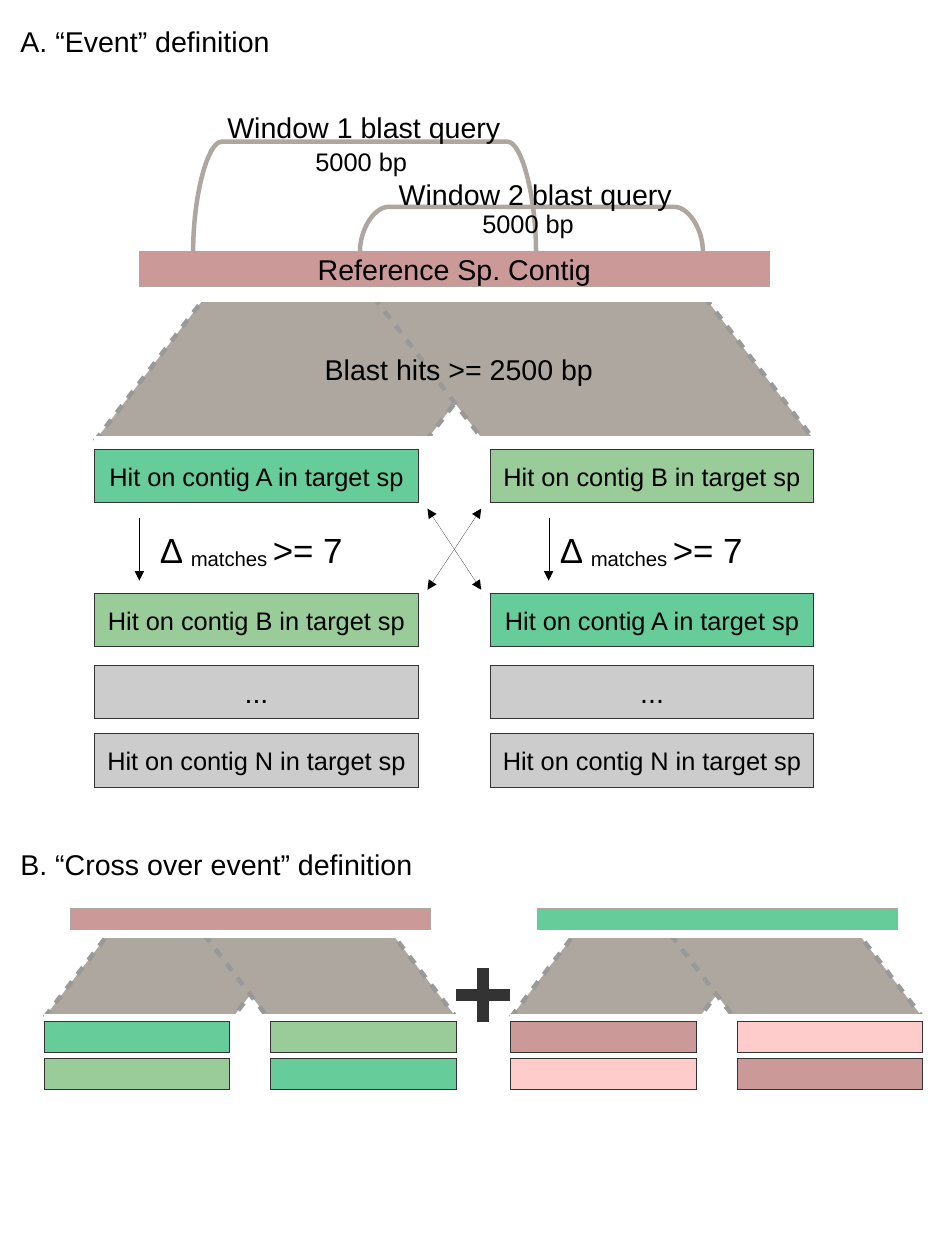
from pptx import Presentation
from pptx.dml.color import RGBColor
from pptx.enum.shapes import MSO_CONNECTOR as Link, MSO_SHAPE as Kind
from pptx.enum.text import MSO_ANCHOR as Anchor, PP_ALIGN as Align
from pptx.oxml.ns import qn
from pptx.util import Cm, Pt
from lxml.etree import SubElement

PX = 9144  # 100 px to the inch
HAIR = 0.01
BLACK = RGBColor(0x00, 0x00, 0x00)
WHITE = RGBColor(0xFF, 0xFF, 0xFF)
DARK = RGBColor(0x33, 0x33, 0x33)
DASH = RGBColor(0x99, 0x99, 0x99)
GRAY = RGBColor(0xCC, 0xCC, 0xCC)
TAUPE = RGBColor(0xAE, 0xA7, 0x9F)
ROSE = RGBColor(0xCC, 0x99, 0x99)
PINK = RGBColor(0xFF, 0xCC, 0xCC)
JADE = RGBColor(0x66, 0xCC, 0x99)
SAGE = RGBColor(0x99, 0xCC, 0x99)


def style(run, size):
    run.font.name = "Arial"
    run.font.size = Pt(size)
    run.font.color.rgb = BLACK


def block(shapes, kind, box, fill, edge, width=HAIR):
    shape = shapes.add_shape(kind, *(v * PX for v in box))
    shape.shadow.inherit = False
    shape.fill.solid()
    shape.fill.fore_color.rgb = fill
    shape.line.color.rgb = edge
    shape.line.width = Pt(width)
    return shape


def bar(shapes, box, fill, edge=DARK, text=None, size=16):
    shape = block(shapes, Kind.RECTANGLE, box, fill, edge)
    if text:
        frame = shape.text_frame
        frame.text = text
        frame.word_wrap = False
        frame.vertical_anchor = Anchor.MIDDLE
        frame.paragraphs[0].alignment = Align.CENTER
        style(frame.paragraphs[0].runs[0], size)


def label(shapes, box, text, size=18, align=Align.LEFT):
    frame = shapes.add_textbox(*(v * PX for v in box)).text_frame
    frame.word_wrap = True
    frame.text = text
    frame.paragraphs[0].alignment = align
    style(frame.paragraphs[0].runs[0], size)
    return frame.paragraphs[0]


def delta(shapes, x, y):
    """Threshold label whose middle word is a subscript."""
    para = label(shapes, (x, y, 197, 54), "Δ ", 22)
    for text, base in (("matches ", "-8000"), (">= 7", "0")):
        run = para.add_run()
        run.text = text
        style(run, 22)
        run.font._element.set("baseline", base)


def arrow(shapes, x1, y1, x2, y2, ends=("tailEnd",)):
    line = shapes.add_connector(Link.STRAIGHT, x1 * PX, y1 * PX, x2 * PX, y2 * PX)
    line.line.color.rgb = BLACK
    line.line.width = Pt(HAIR)
    for end in ends:
        SubElement(line.line._get_or_add_ln(), qn("a:" + end), type="triangle")
    SubElement(line._element.spPr, qn("a:effectLst"))


def arch(shapes, x, y, w, h, bend=25, steps=16):
    """Open bracket with rounded shoulders, standing on its feet."""
    curve = []
    for i in range(steps + 1):
        t = i / steps
        u = 1 - t
        curve.append((bend * (1.5 * u * t * t + t ** 3),
                      h * (u ** 3 + 1.5 * u * u * t)))
    points = [(x + dx, y + dy) for dx, dy in curve]
    points += [(x + w - dx, y + dy) for dx, dy in reversed(curve)]
    points = [(round(px * PX), round(py * PX)) for px, py in points]
    path = shapes.build_freeform(*points[0])
    path.add_line_segments(points[1:], close=False)
    shape = path.convert_to_shape()
    shape.shadow.inherit = False
    shape.fill.background()
    shape.line.color.rgb = TAUPE
    shape.line.width = Pt(2.83)


def funnel(shapes, x, y, w, h, step, edge, span):
    """Two mirrored dashed bands, trimmed by white strips above and below."""
    for i in range(2):
        band = block(shapes, Kind.PARALLELOGRAM, (x + i * step, y, w, h),
                     TAUPE, DASH, 2.83)
        band.adjustments[0] = 0.766
        dash = SubElement(band.line._get_or_add_ln(), qn("a:custDash"))
        SubElement(dash, qn("a:ds"), d="200000", sp="200000")
        if i:
            band._element.spPr.find(qn("a:xfrm")).set("flipV", "1")
    bar(shapes, (x, y + h - edge // 2, span, edge), WHITE, WHITE)
    bar(shapes, (x + edge, y - edge // 2, span, edge), WHITE, WHITE)


def event(shapes, x, y):
    """Panel A: query windows, blast hits and ranked target contigs."""
    label(shapes, (8, y, 291, 38), "A. “Event” definition")
    base = y + 204
    bar(shapes, (x + 39, base, 551, 31), ROSE, TAUPE, "Reference Sp. Contig", 18)
    windows = (("Window 1 blast query", 86, 96, 106, 75, 183, 107),
               ("Window 2 blast query", 232, 39, 256, 134, 329, 161))
    for text, left, rise, tx, ty, bx, by in windows:
        arch(shapes, x + left, base - rise, 300, rise)
        label(shapes, (x + tx, y + ty, 264, 38), text)
        label(shapes, (x + bx - 2, y + by, 104, 35), "5000 bp", 16, Align.CENTER)
    funnel(shapes, x, y + 244, 386, 126, 244, 8, 654)
    label(shapes, (x + 110, y + 287, 417, 66), "Blast hits >= 2500 bp",
          18, Align.CENTER)

    hits = [("A", JADE), ("B", SAGE)]
    for i, order in enumerate((hits, hits[::-1])):
        left = x + i * 346
        rows = order + [("...", GRAY), ("N", GRAY)]
        for (name, fill), top in zip(rows, (377, 503, 566, 626)):
            dots = name == "..."
            text = name if dots else f"Hit on contig {name} in target sp"
            bar(shapes, (left, y + top, 283, 47), fill, DARK, text, 18 if dots else 16)
        delta(shapes, x + 47 + i * 350, y + 442)
        drop = x + 39 + i * 358
        arrow(shapes, drop, y + 437, drop, y + 492)
    for start, end in ((500, 429), (429, 500)):
        arrow(shapes, x + 291, y + start, x + 338, y + end, ("headEnd", "tailEnd"))


def cross(shapes, x, y, top, first, second):
    """One half of panel B: a contig with the order of its hits swapped."""
    bar(shapes, (x + 23, y, 315, 18), top, TAUPE)
    funnel(shapes, x, y + 23, 220, 72, 140, 4, 373)
    for row in range(2):
        for col in range(2):
            fill = second if row ^ col else first
            bar(shapes, (x + col * 198, y + 99 + row * 32, 162, 27), fill)


def pair(shapes, x, y):
    """Panel B: two swapped events joined by a plus sign."""
    label(shapes, (8, y, 417, 38), "B. “Cross over event” definition")
    cross(shapes, x, y + 59, ROSE, JADE, SAGE)
    cross(shapes, x + 408, y + 59, JADE, ROSE, PINK)
    plus = block(shapes, Kind.CROSS, (x + 360, y + 111, 47, 47), DARK, DARK)
    plus.adjustments[0] = 0.4


def main():
    deck = Presentation()
    deck.slide_width = Cm(21)
    deck.slide_height = Cm(28)
    shapes = deck.slides.add_slide(deck.slide_layouts[6]).shapes
    event(shapes, 83, 16)
    pair(shapes, 39, 736)
    deck.save("out.pptx")


if __name__ == "__main__":
    main()
